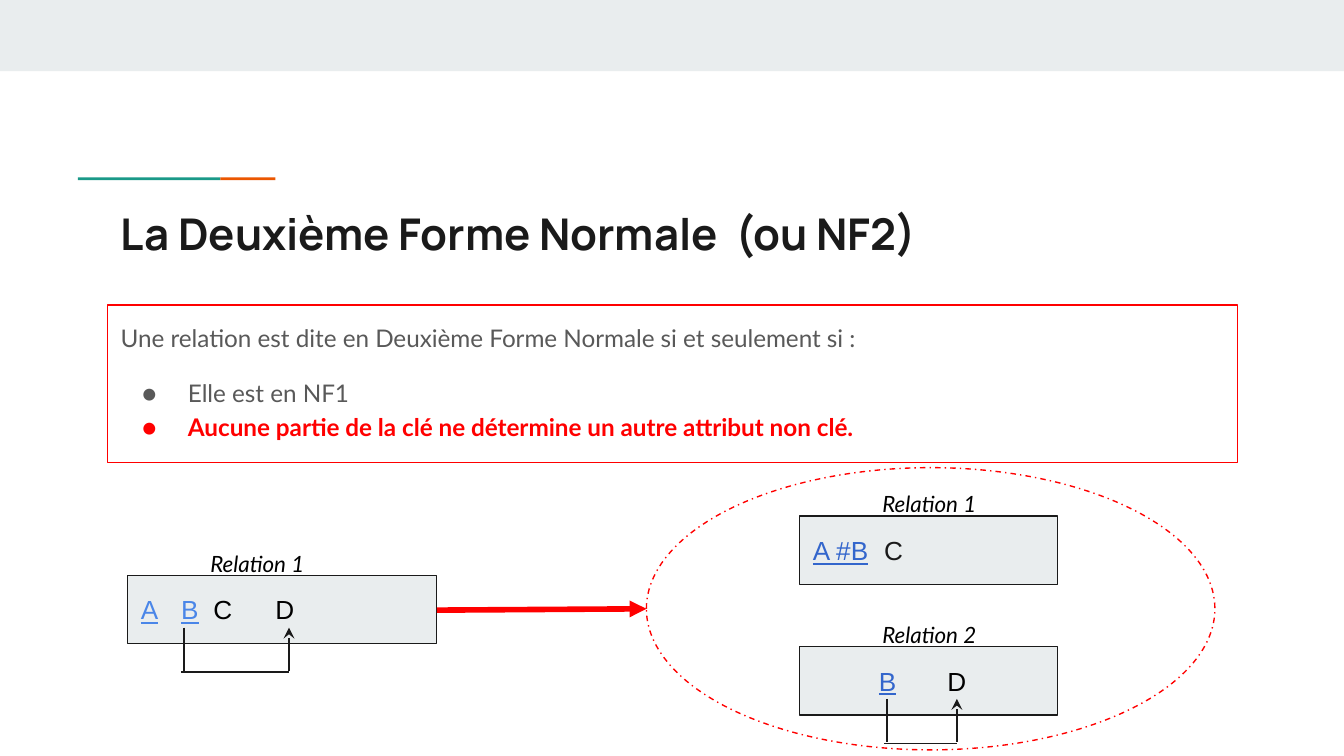
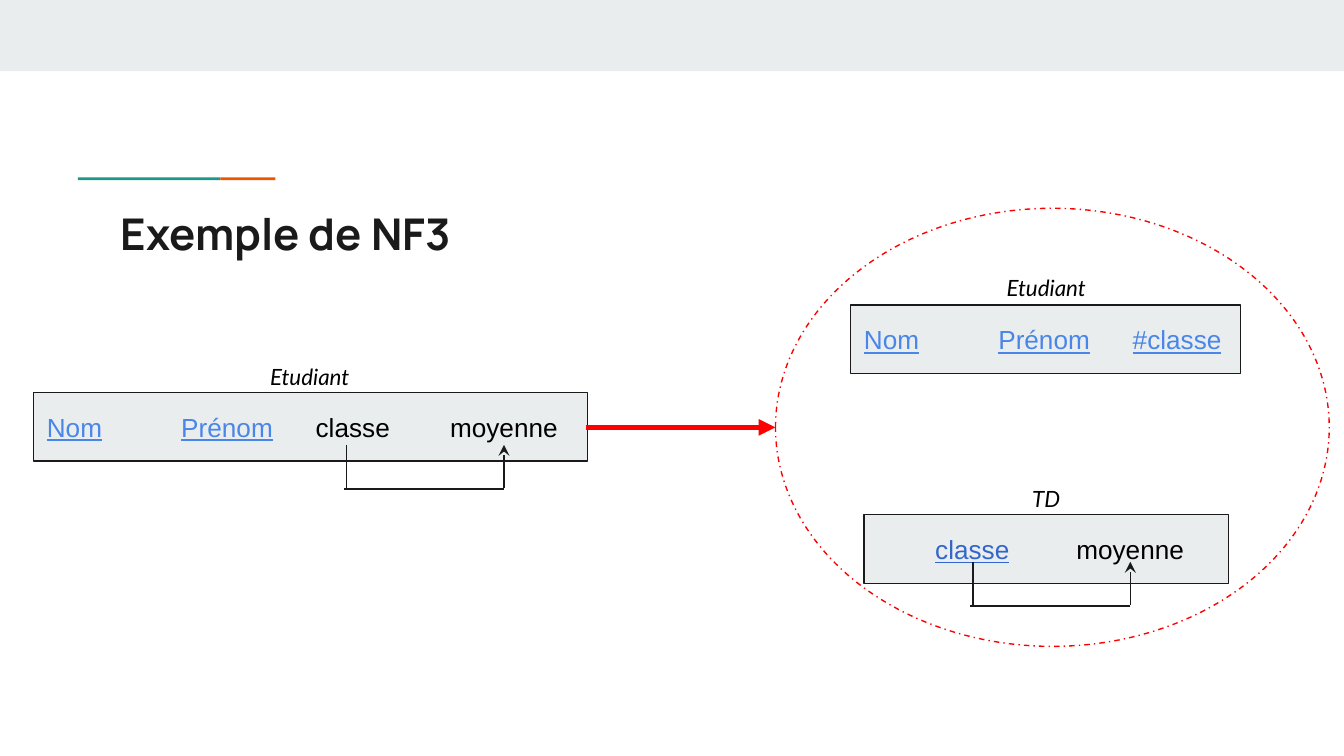
from pptx import Presentation
from pptx.dml.color import RGBColor
from pptx.enum.dml import MSO_LINE
from pptx.enum.shapes import MSO_CONNECTOR, MSO_SHAPE
from pptx.enum.text import MSO_ANCHOR, MSO_AUTO_SIZE, PP_ALIGN
from pptx.oxml.ns import qn
from pptx.util import Inches, Pt
from lxml.etree import SubElement

INK, BLACK, GREY, PALE = "1A1A1A", "000000", "595959", "E9EDEE"
RED, TEAL, ORANGE = "FF0000", "1A9988", "EB5600"
SKY, BLUE = "4A86E8", "3366CC"

TITLE = dict(name="Manrope", size=Pt(23.4), bold=True)
BODY = dict(name="Lato", size=Pt(13))
LABEL = dict(name="Lato", size=Pt(12), italic=True)
ATTRIBUTE = dict(name="Arial", size=Pt(14))

ACCENTS = [(0.58, 1.06, TEAL), (1.64, 0.41, ORANGE)]
DEFINITION = [
    ("Une relation est dite en Deuxième Forme Normale si et seulement si :", GREY, False, False, 0),
    ("Elle est en NF1", GREY, False, True, 12),
    ("Aucune partie de la clé ne détermine un autre attribut non clé.", RED, True, True, 0),
]
SLIDES = [
    dict(
        title="La Deuxième Forme Normale  (ou NF2)",
        definition=DEFINITION,
        relations=[
            dict(name="Relation 1", label=(1.35, 3.99), box=(0.95, 4.28, 2.3),
                 attributes=[("A", 0, SKY, True), ("B", 0.3, SKY, True),
                             ("C", 0.54, BLACK, False), ("D", 1, BLACK, False)],
                 dependency=(1.37, 2.15, 4.67)),
            dict(name="Relation 1", label=(6.35, 3.55), box=(5.95, 3.84, 1.92),
                 attributes=[("A #B", 0, BLUE, True), ("C", 0.53, INK, False)]),
            dict(name="Relation 2", label=(6.35, 4.52), box=(5.95, 4.81, 1.92),
                 attributes=[("B", 0.49, BLUE, True), ("D", 1, BLACK, False)],
                 dependency=(6.6, 7.12, 5.2)),
        ],
        arrow=(3.25, 4.54, 4.81, 4.53),
        result=(4.81, 3.48, 4.23, 2.1),
    ),
    dict(
        title="Exemple de NF3",
        definition=[],
        relations=[
            dict(name="Etudiant", label=(1.74, 2.6), box=(0.25, 2.92, 4.12),
                 attributes=[("Nom", 0, SKY, True), ("Prénom", 1, SKY, True),
                             ("classe", 2, BLACK, False), ("moyenne", 3, BLACK, False)],
                 dependency=(2.58, 3.75, 3.31)),
            dict(name="Etudiant", label=(7.22, 1.94), box=(6.33, 2.27, 2.9),
                 attributes=[("Nom", 0, SKY, True), ("Prénom", 1, SKY, True),
                             ("#classe", 2, SKY, True)]),
            dict(name="TD", label=(7.22, 3.51), box=(6.43, 3.83, 2.71),
                 attributes=[("classe", 0.43, BLUE, True), ("moyenne", 1.48, BLACK, False)],
                 dependency=(7.24, 8.41, 4.18)),
        ],
        arrow=(4.36, 3.18, 5.77, 3.18),
        result=(5.77, 1.55, 4.12, 3.26),
    ),
]


def rgb(color):
    return RGBColor.from_string(color)


def set_all(obj, **values):
    for key, value in values.items():
        setattr(obj, key, value)


def style(font, color, **values):
    set_all(font, **values)
    font.color.rgb = rgb(color)


def frame(shape, **values):
    tf = shape.text_frame
    margins = {f"margin_{side}": Inches(0.1) for side in ("left", "top", "right", "bottom")}
    set_all(tf, word_wrap=True, **margins, **values)
    return tf


def add_shape(s, kind, at, fill=None, line=None):
    sp = s.shapes.add_shape(kind, *map(Inches, at))
    sp.shadow.inherit = False
    if fill:
        sp.fill.solid()
        sp.fill.fore_color.rgb = rgb(fill)
    else:
        sp.fill.background()
    if line:
        sp.line.color.rgb = rgb(line)
        sp.line.width = Pt(0.75)
    else:
        sp.line.fill.background()
    return sp


def add_line(s, ends, color=INK, width=0.75, arrow=None):
    cx = s.shapes.add_connector(MSO_CONNECTOR.STRAIGHT, *map(Inches, ends))
    cx.line.color.rgb = rgb(color)
    cx.line.width = Pt(width)
    if arrow:
        SubElement(cx.line._ln, qn("a:tailEnd"), type=arrow)
    SubElement(cx._element.spPr, qn("a:effectLst"))


def add_base(s, title):
    add_shape(s, MSO_SHAPE.RECTANGLE, (0, 0, 10, 0.53), PALE)
    for x, width, color in ACCENTS:
        add_shape(s, MSO_SHAPE.RECTANGLE, (x, 1.32, width, 0.02), color)
    sp = s.shapes.title
    set_all(sp, left=Inches(0.8), top=Inches(1.44), width=Inches(8.41), height=Inches(0.59))
    tf = frame(sp, vertical_anchor=MSO_ANCHOR.TOP, auto_size=MSO_AUTO_SIZE.NONE)
    tf.text = title
    p = tf.paragraphs[0]
    p.alignment = PP_ALIGN.LEFT
    style(p.runs[0].font, INK, **TITLE)


def add_bullet(p, color):
    pPr = p._p.get_or_add_pPr()
    pPr.set("marL", str(Inches(0.5)))
    pPr.set("indent", str(-Inches(0.34)))
    SubElement(SubElement(pPr, qn("a:buClr")), qn("a:srgbClr"), val=color)
    SubElement(pPr, qn("a:buFont"), typeface=BODY["name"])
    SubElement(pPr, qn("a:buChar"), char="●")


def add_definition(s, lines):
    sp = add_shape(s, MSO_SHAPE.RECTANGLE, (0.8, 2.27, 8.41, 1.17), line=RED)
    tf = frame(sp, vertical_anchor=MSO_ANCHOR.TOP)
    for i, (text, color, bold, bullet, before) in enumerate(lines):
        p = tf.add_paragraph() if i else tf.paragraphs[0]
        set_all(p, alignment=PP_ALIGN.LEFT, line_spacing=1.15)
        if before:
            p.space_before = Pt(before)
        if bullet:
            add_bullet(p, color)
        r = p.add_run()
        r.text = text
        style(r.font, color, bold=bold, **BODY)


def add_attributes(p, attributes):
    p.alignment = PP_ALIGN.LEFT
    tabs = SubElement(p._p.get_or_add_pPr(), qn("a:tabLst"))
    for text, stop, color, key in attributes:
        parts = [(text, key)]
        if stop:
            SubElement(tabs, qn("a:tab"), pos=str(Inches(stop)), algn="l")
            parts.insert(0, ("\t", False))
        for part, underline in parts:
            r = p.add_run()
            r.text = part
            style(r.font, color, underline=underline, **ATTRIBUTE)


def add_dependency(s, source, target, top):
    foot = top + 0.32
    add_line(s, (source, top, source, foot))
    add_line(s, (source - 0.02, foot + 0.01, target, foot + 0.01))
    add_line(s, (target, foot, target, top), arrow="stealth")


def add_relation(s, name, label, box, attributes, dependency=None):
    sp = add_shape(s, MSO_SHAPE.RECTANGLE, (*box, 0.51), PALE, INK)
    tf = frame(sp, vertical_anchor=MSO_ANCHOR.MIDDLE)
    add_attributes(tf.paragraphs[0], attributes)
    tb = s.shapes.add_textbox(*map(Inches, (*label, 1.13, 0.4)))
    tf = frame(tb, auto_size=MSO_AUTO_SIZE.SHAPE_TO_FIT_TEXT)
    tf.text = name
    p = tf.paragraphs[0]
    p.alignment = PP_ALIGN.CENTER
    style(p.runs[0].font, BLACK, **LABEL)
    if dependency:
        add_dependency(s, *dependency)


def main():
    prs = Presentation()
    set_all(prs, slide_width=Inches(10), slide_height=Inches(10) * 9 // 16)
    for content in SLIDES:
        s = prs.slides.add_slide(prs.slide_layouts[5])
        add_base(s, content["title"])
        if content["definition"]:
            add_definition(s, content["definition"])
        for relation in content["relations"]:
            add_relation(s, **relation)
        add_line(s, content["arrow"], RED, 3, "triangle")
        result = add_shape(s, MSO_SHAPE.OVAL, content["result"], line=RED)
        result.line.dash_style = MSO_LINE.DASH_DOT
    prs.save("out.pptx")


if __name__ == "__main__":
    main()
